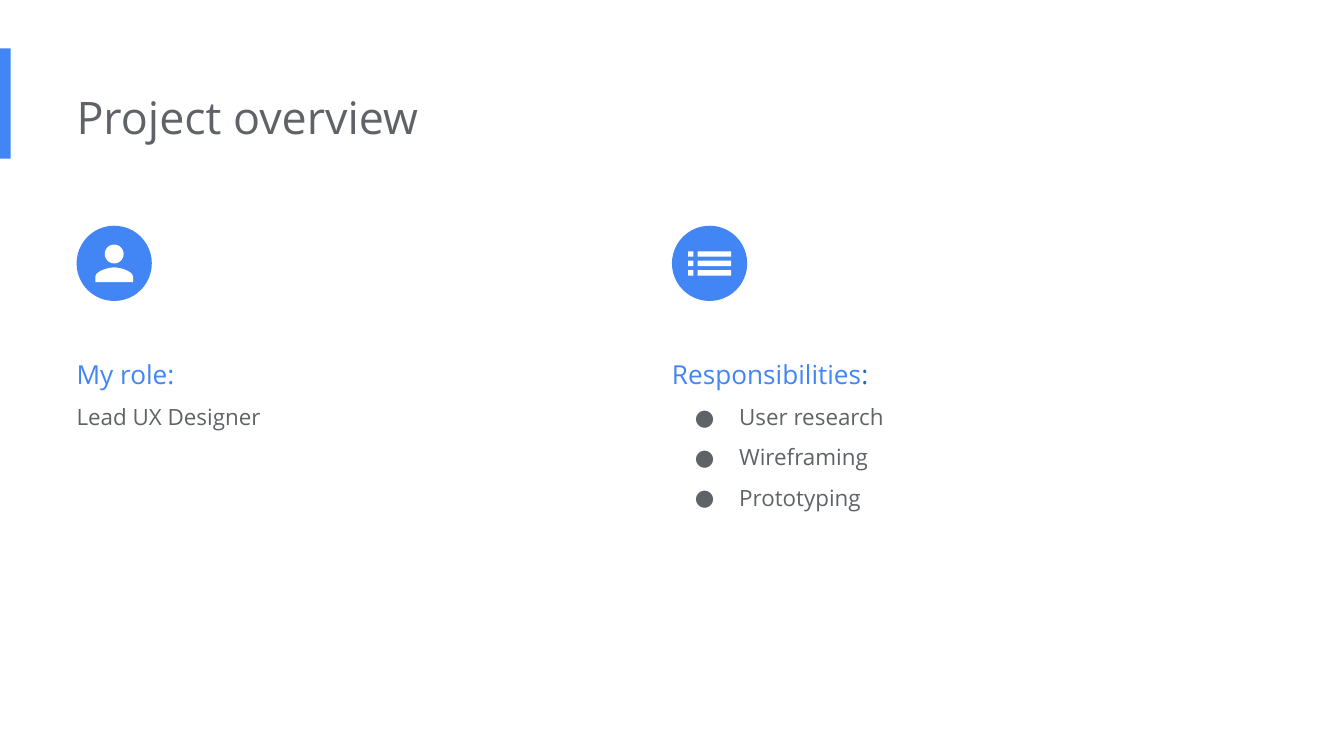
import math

from lxml import etree
from pptx import Presentation
from pptx import util as u
from pptx.dml.color import RGBColor
from pptx.enum import shapes, text
from pptx.oxml.ns import qn

COLORS = {"blue": "4285F4", "navy": "1967D2", "gray": "5F6368", "white": "FFFFFF"}
FONT = "Open Sans"
LEFT_COLUMN, RIGHT_COLUMN = 0.57, 5
BADGE_TOP, BADGE_SIZE, BODY_TOP = 1.68, 0.56, 2.45


def rgb(name):
    return RGBColor.from_string(COLORS[name])


def paint(sp, color):
    sp.shadow.inherit = False
    sp.fill.solid()
    sp.fill.fore_color.rgb = rgb(color)
    sp.line.fill.background()


def add_shape(s, kind, x, y, w, h, color):
    sp = s.shapes.add_shape(kind, *map(u.Inches, (x, y, w, h)))
    paint(sp, color)


def add_outline(s, contours, color):
    contours = [[(u.Inches(x), u.Inches(y)) for x, y in points] for points in contours]
    builder = s.shapes.build_freeform(*contours[0][0])
    for i, points in enumerate(contours):
        if i:
            builder.move_to(*points[0])
        builder.add_line_segments(points[1:], close=True)
    paint(builder.convert_to_shape(), color)


def set_font(font, size, color):
    font.name, font.size = FONT, u.Pt(size)
    font.color.rgb = rgb(color)


def add_bullet(p, color):
    pPr = p._p.get_or_add_pPr()
    pPr.set("marL", str(u.Inches(0.5)))
    pPr.set("indent", str(u.Inches(-0.33)))
    buClr = etree.Element(qn("a:buClr"))
    etree.SubElement(buClr, qn("a:srgbClr"), val=COLORS[color])
    buFont = etree.Element(qn("a:buFont"), typeface=FONT)
    buChar = etree.Element(qn("a:buChar"), char="●")
    pPr.find(qn("a:lnSpc")).addnext(buClr)
    buClr.addnext(buFont)
    buFont.addnext(buChar)


def add_text(s, x, y, w, h, paragraphs, spacing=1.0):
    tf = s.shapes.add_textbox(*map(u.Inches, (x, y, w, h))).text_frame
    tf.word_wrap = True
    tf.auto_size = text.MSO_AUTO_SIZE.SHAPE_TO_FIT_TEXT
    tf.margin_left = 0
    tf.margin_top = tf.margin_right = tf.margin_bottom = u.Inches(0.1)
    for i, (size, runs, bulleted) in enumerate(paragraphs):
        p = tf.add_paragraph() if i else tf.paragraphs[0]
        p.line_spacing = spacing
        if bulleted:
            add_bullet(p, runs[0][1])
        set_font(p.font, size, runs[0][1])
        for words, color in runs:
            r = p.add_run()
            r.text = words
            set_font(r.font, size, color)


def curve(p0, p1, p2, p3, steps=16):
    def at(t):
        k = 1 - t
        return tuple(k**3 * a + 3 * k * k * t * b + 3 * k * t * t * c + t**3 * d
                     for a, b, c, d in zip(p0, p1, p2, p3))
    return [at(i / steps) for i in range(steps + 1)]


def person_icon(s):
    cx = 0.85
    turns = [math.tau * i / 48 for i in range(48)]
    head = [(cx + 0.07 * math.cos(a), 1.89 + 0.07 * math.sin(a)) for a in turns]
    left = curve((cx, 1.99), (0.8, 1.99), (0.71, 2.02), (0.71, 2.06)) + [(0.71, 2.1)]
    right = [(2 * cx - x, y) for x, y in reversed(left)]
    add_outline(s, [head, left + right], "white")


def list_icon(s):
    bars = [[(x1, y), (x2, y), (x2, y + 0.04), (x1, y + 0.04)]
            for y in (1.87 + 0.07 * i for i in range(3))
            for x1, x2 in ((5.12, 5.16), (5.19, 5.44))]
    add_outline(s, bars, "white")


def add_column(s, x, h, heading, items, bulleted, icon):
    add_shape(s, shapes.MSO_SHAPE.OVAL, x, BADGE_TOP, BADGE_SIZE, BADGE_SIZE, "blue")
    icon(s)
    rows = [(14, heading, False)] + [(12, [(item, "gray")], bulleted) for item in items]
    add_text(s, x, BODY_TOP, 3.77, h, rows, 1.5)


def main():
    prs = Presentation()
    prs.slide_width, prs.slide_height = u.Inches(10), u.Inches(10 * 9 / 16)
    s = prs.slides.add_slide(prs.slide_layouts[6])
    add_shape(s, shapes.MSO_SHAPE.RECTANGLE, 0, 0.36, 0.08, 0.82, "blue")
    add_text(s, LEFT_COLUMN, 0.57, 6.73, 0.61,
             [(24, [("Project overview", "gray")], False)])
    add_column(s, LEFT_COLUMN, 0.76, [("My role: ", "blue")],
               ["Lead UX Designer"], False, person_icon)
    add_column(s, RIGHT_COLUMN, 1.36, [("Responsibilities", "blue"), (": ", "navy")],
               ["User research", "Wireframing", "Prototyping"], True, list_icon)
    prs.save("out.pptx")


main()
